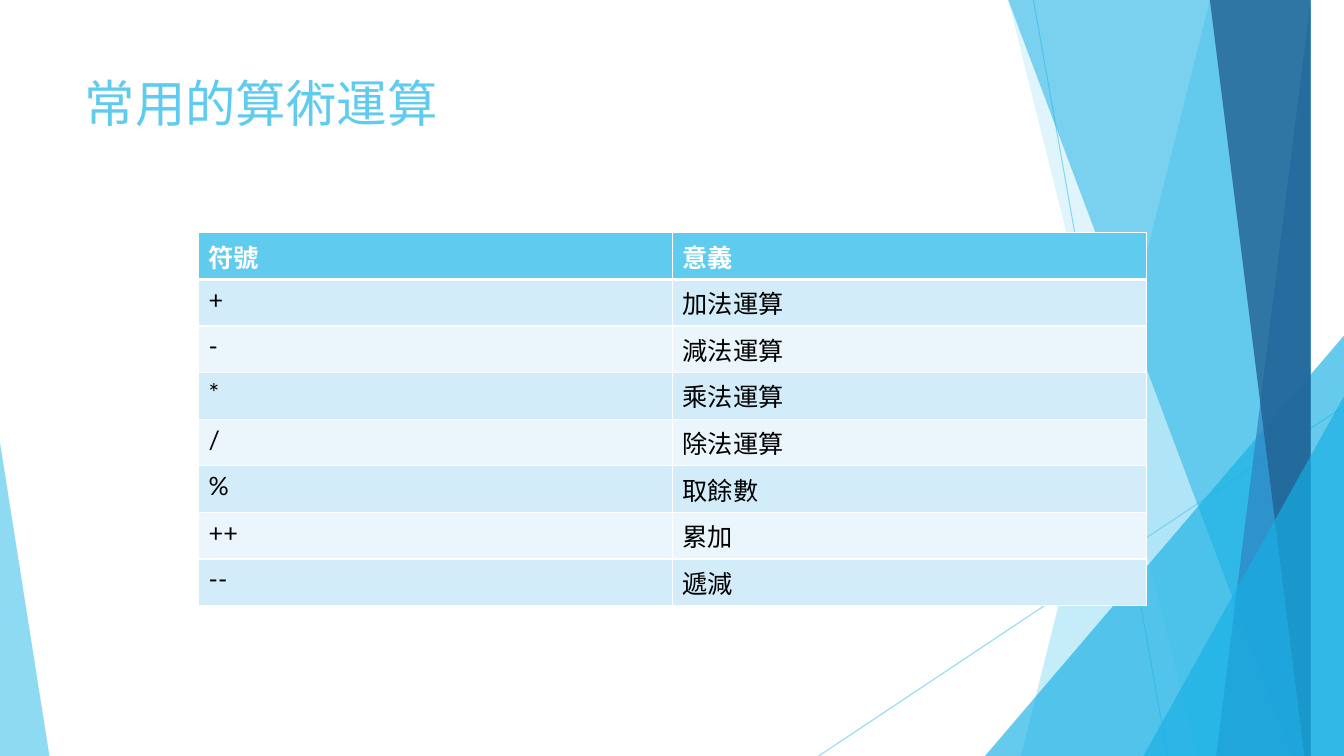
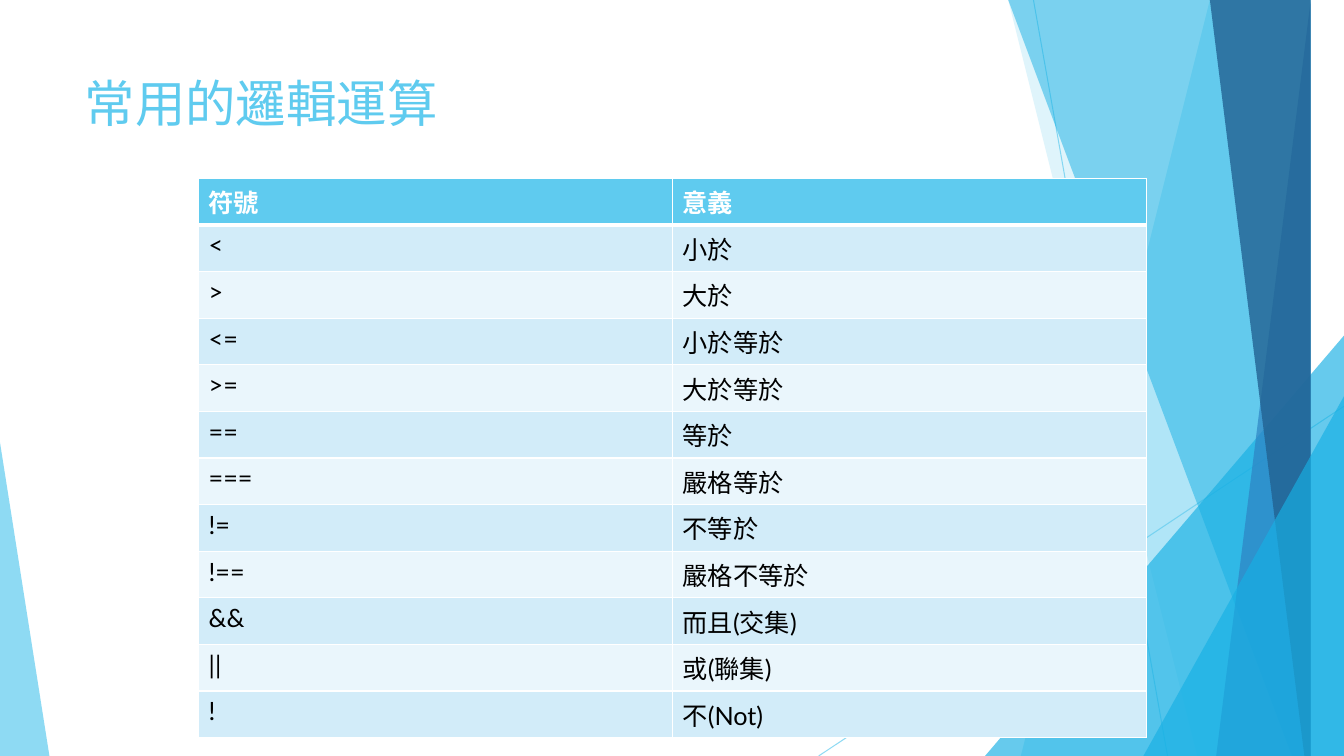
"""Build two slides of operator tables over a faceted blue backdrop."""
import pptx
import pptx.dml.color
import pptx.enum.shapes
import pptx.enum.text
import pptx.oxml
import pptx.oxml.ns
import pptx.util

Inches = pptx.util.Inches
Pt = pptx.util.Pt
RGBColor = pptx.dml.color.RGBColor
qn = pptx.oxml.ns.qn

SKY = RGBColor(0x5F, 0xCB, 0xEF)
CYAN = RGBColor(0x17, 0xB0, 0xE4)
BLUE = RGBColor(0x2E, 0x83, 0xC3)
NAVY = RGBColor(0x22, 0x62, 0x92)
WHITE = RGBColor(0xFF, 0xFF, 0xFF)
BLACK = RGBColor(0x00, 0x00, 0x00)
ROW_TINTS = (RGBColor(0xD2, 0xEC, 0xF9), RGBColor(0xEA, 0xF6, 0xFC))

FONT = "Lato"
WIDTH, HEIGHT = 13.33, 7.5
TITLE_BOX = (0.74, 0.67, 9.4, 1.44)
TABLE_LEFT, COLUMN_WIDTH, ROW_HEIGHT = 1.97, 4.7, 0.41

HEADINGS = ("符號", "意義")
SLIDES = [
    {
        "title": "常用的算術運算",
        "table_top": 2.31,
        "operators": [
            ("+", "加法運算"),
            ("-", "減法運算"),
            ("*", "乘法運算"),
            ("/", "除法運算"),
            ("%", "取餘數"),
            ("++", "累加"),
            ("--", "遞減"),
        ],
    },
    {
        "title": "常用的邏輯運算",
        "table_top": 1.77,
        "operators": [
            ("<", "小於"),
            (">", "大於"),
            ("<=", "小於等於"),
            (">=", "大於等於"),
            ("==", "等於"),
            ("===", "嚴格等於"),
            ("!=", "不等於"),
            ("!==", "嚴格不等於"),
            ("&&", "而且(交集)"),
            ("||", "或(聯集)"),
            ("!", "不(Not)"),
        ],
    },
]

RAYS = [((10.25, 0), (11.58, HEIGHT)), ((WIDTH, 4.03), (8.12, HEIGHT))]
FACETS = [
    ("band", (12.28, 10.04), SKY, 36),
    ("band", (10.5, 11.83), SKY, 20),
    ("triangle", (9.77, WIDTH, 3.33, 1), CYAN, 66),
    ("band", (10.21, 12.91), CYAN, 50),
    ("band", (13.03, 11.92), BLUE, 70),
    ("band", (11.96, 13.18), NAVY, 80),
    ("triangle", (11.34, WIDTH, 3.93, 1), CYAN, 66),
    ("triangle", (0, 0.49, 4.39, 0), SKY, 70),
]


def set_opacity(shape, percent):
    """Give every colour of the shape the same opacity."""
    for color in shape.element.spPr.iter(qn("a:srgbClr")):
        color.append(pptx.oxml.parse_xml(
            f'<a:alpha {pptx.oxml.ns.nsdecls("a")} val="{percent * 1000}"/>'))


def draw_ray(shapes, start, end):
    """Draw one thin translucent line."""
    ray = shapes.add_connector(
        pptx.enum.shapes.MSO_CONNECTOR.STRAIGHT, *map(Inches, start + end))
    ray.line.color.rgb = SKY
    ray.line.width = Pt(0.75)
    set_opacity(ray, 70)
    ray.element.spPr.append(pptx.oxml.parse_xml(
        f'<a:effectLst {pptx.oxml.ns.nsdecls("a")}/>'))
    return ray


def draw_facet(shapes, kind, geometry, color, opacity):
    """Draw a band reaching the right edge, or a triangle on the bottom edge."""
    if kind == "band":
        top_x, bottom_x = geometry
        outline = shapes.build_freeform(top_x, 0, scale=Inches(1))
        outline.add_line_segments([(WIDTH, 0), (WIDTH, HEIGHT), (bottom_x, HEIGHT)])
        facet = outline.convert_to_shape()
    else:
        left, right, top, apex = geometry
        facet = shapes.add_shape(
            pptx.enum.shapes.MSO_SHAPE.ISOSCELES_TRIANGLE,
            *map(Inches, (left, top, right - left, HEIGHT - top)))
        facet.adjustments[0] = apex
    facet.shadow.inherit = False
    facet.fill.solid()
    facet.fill.fore_color.rgb = color
    facet.line.fill.background()
    set_opacity(facet, opacity)
    return facet


def move_to_layout(layout, backdrop):
    """Put the backdrop behind everything else on the shared layout."""
    for position, part in enumerate(backdrop, start=2):
        layout.shapes.element.insert(position, part.element)


def write_text(frame, text, *, size=18, color=BLACK, bold=False):
    """Write left-aligned text with the given format."""
    paragraph = frame.paragraphs[0]
    paragraph.alignment = pptx.enum.text.PP_ALIGN.LEFT
    run = paragraph.add_run()
    run.text = text
    run.font.name = FONT
    run.font.size = Pt(size)
    run.font.bold = bold
    run.font.color.rgb = color


def set_borders(cell, top, bottom):
    """Outline a cell in white, with the given top and bottom widths."""
    properties = cell._tc.get_or_add_tcPr()
    for position, (side, width) in enumerate(
            zip("LRTB", (1, 1, top, bottom))):
        properties.insert(position, pptx.oxml.parse_xml(
            f'<a:ln{side} {pptx.oxml.ns.nsdecls("a")} w="{Pt(width)}">'
            f'<a:solidFill><a:srgbClr val="{WHITE}"/></a:solidFill></a:ln{side}>'))


def add_operator_table(slide, operators, top):
    """Add a two-column table under a coloured heading row."""
    rows = [HEADINGS, *operators]
    table = slide.shapes.add_table(
        len(rows), len(HEADINGS), Inches(TABLE_LEFT), Inches(top),
        Inches(COLUMN_WIDTH * len(HEADINGS)), Inches(ROW_HEIGHT * len(rows))).table
    for row_index, row in enumerate(rows):
        heading = row_index == 0
        for column_index, text in enumerate(row):
            cell = table.cell(row_index, column_index)
            cell.fill.solid()
            cell.fill.fore_color.rgb = SKY if heading else ROW_TINTS[(row_index - 1) % 2]
            set_borders(cell, 3 if row_index == 1 else 1, 3 if heading else 1)
            write_text(cell.text_frame, text,
                       color=WHITE if heading else BLACK, bold=heading)


def add_title(slide, text):
    """Place and format the title placeholder."""
    title = slide.shapes.title
    title.left, title.top, title.width, title.height = map(Inches, TITLE_BOX)
    title.text_frame.vertical_anchor = pptx.enum.text.MSO_ANCHOR.TOP
    write_text(title.text_frame, text, size=36, color=SKY)


def main():
    """Build and save the presentation."""
    deck = pptx.Presentation()
    deck.slide_width, deck.slide_height = Inches(WIDTH), Inches(HEIGHT)
    layout = deck.slide_layouts[5]
    for number, content in enumerate(SLIDES):
        slide = deck.slides.add_slide(layout)
        if number == 0:
            rays = [draw_ray(slide.shapes, *ray) for ray in RAYS]
            facets = [draw_facet(slide.shapes, *facet) for facet in FACETS]
            move_to_layout(layout, rays + facets)
        add_title(slide, content["title"])
        add_operator_table(slide, content["operators"], content["table_top"])
    deck.save("out.pptx")


if __name__ == "__main__":
    main()
